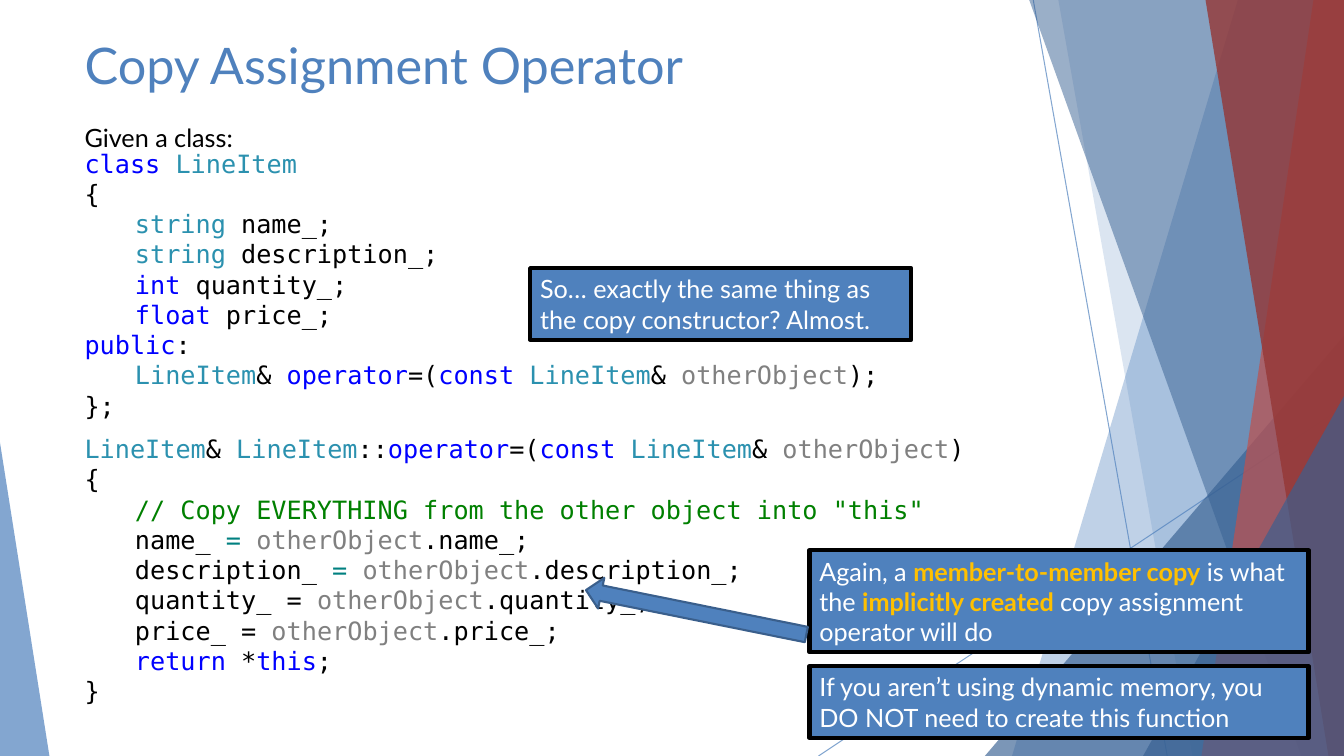
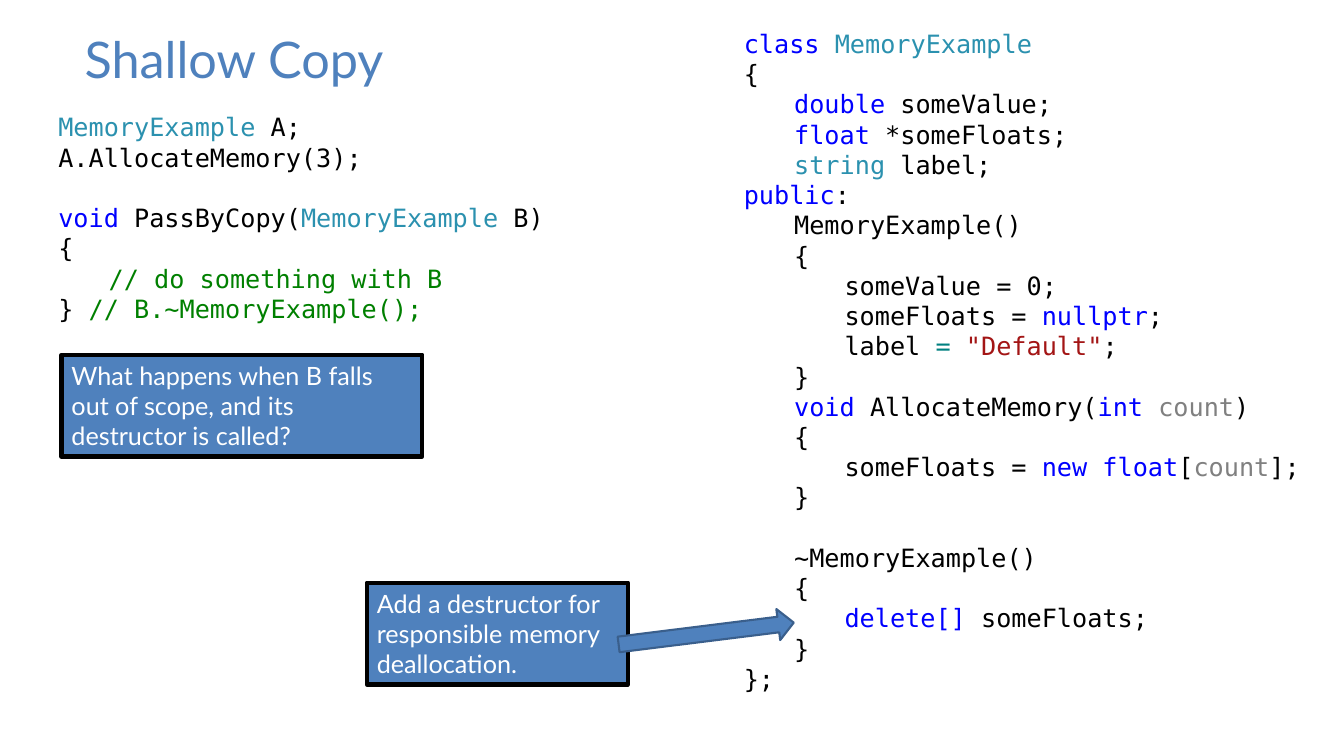
from dataclasses import dataclass
from itertools import groupby

from lxml import etree
from pptx import Presentation
from pptx.dml.color import RGBColor
from pptx.enum.shapes import MSO_CONNECTOR, MSO_SHAPE
from pptx.enum.text import MSO_ANCHOR, MSO_AUTO_SIZE, PP_ALIGN
from pptx.oxml.ns import qn
from pptx.util import Emu, Inches, Pt

STRAIGHT = MSO_CONNECTOR.STRAIGHT
RECTANGLE, TRIANGLE = MSO_SHAPE.RECTANGLE, MSO_SHAPE.ISOSCELES_TRIANGLE
LEFT_ARROW = MSO_SHAPE.LEFT_ARROW
TOP, MIDDLE = MSO_ANCHOR.TOP, MSO_ANCHOR.MIDDLE
FIXED_SIZE = MSO_AUTO_SIZE.NONE
LEFT = PP_ALIGN.LEFT

BLUE = RGBColor(0x4F, 0x81, 0xBD)
DARK_BLUE = RGBColor(0x37, 0x60, 0x92)
ARROW_EDGE = RGBColor(0x3A, 0x5F, 0x8C)
RED = RGBColor(0xC0, 0x50, 0x4D)
DARK_RED = RGBColor(0x95, 0x37, 0x35)
GOLD = RGBColor(0xFF, 0xC0, 0x00)
BLACK = RGBColor(0x00, 0x00, 0x00)
WHITE = RGBColor(0xFF, 0xFF, 0xFF)
KEYWORD_BLUE = RGBColor(0x00, 0x00, 0xFF)
TYPE_TEAL = RGBColor(0x2B, 0x91, 0xAF)
PARAMETER_GRAY = RGBColor(0x80, 0x80, 0x80)
COMMENT_GREEN = RGBColor(0x00, 0x80, 0x00)
OPERATOR_TEAL = RGBColor(0x00, 0x80, 0x80)
STRING_RED = RGBColor(0xA3, 0x15, 0x15)

BODY_FONT, CODE_FONT = "Lato", "DejaVu Sans Mono"
TITLE_SIZE, TEXT_SIZE, CODE_PITCH = Pt(36), Pt(18), Pt(21.6)
TAB_WIDTH = Inches(0.5)

# The grid has 100 columns and 100 rows.
SLIDE_WIDTH, SLIDE_HEIGHT = Inches(13.333), Inches(7.5)
MARGIN = 5.55
ROWS_PER_LINE, ROWS_OF_PADDING = 4, 1.47

WORD_COLORS = {
    **dict.fromkeys(("class", "public", "operator", "const", "return", "this",
                     "int", "float", "double", "void", "nullptr", "new",
                     "delete", "[]"), KEYWORD_BLUE),
    **dict.fromkeys(("LineItem", "MemoryExample", "string"), TYPE_TEAL),
    **dict.fromkeys(("otherObject", "count"), PARAMETER_GRAY),
}
STRING_FIELDS = ("name_", "description_", "label")

LINE_ITEM_CLASS = """class LineItem
{
\tstring name_;
\tstring description_;
\tint quantity_;
\tfloat price_;
public:
\tLineItem& operator=(const LineItem& otherObject);
};"""

ASSIGNMENT_OPERATOR = """LineItem& LineItem::operator=(const LineItem& otherObject)
{
\t// Copy EVERYTHING from the other object into "this"
\tname_ = otherObject.name_;
\tdescription_ = otherObject.description_;
\tquantity_ = otherObject.quantity_;
\tprice_ = otherObject.price_;
\treturn *this;
}"""

PASS_BY_COPY = """MemoryExample A;
A.AllocateMemory(3);

void PassByCopy(MemoryExample B)
{
\t// do something with B
} // B.~MemoryExample();"""

MEMORY_CLASS = """class MemoryExample
{
\tdouble someValue;
\tfloat *someFloats;
\tstring label;
public:
\tMemoryExample()
\t{
\t\tsomeValue = 0;
\t\tsomeFloats = nullptr;
\t\tlabel = "Default";
\t}
\tvoid AllocateMemory(int count)
\t{
\t\tsomeFloats = new float[count];
\t}

\t~MemoryExample()
\t{
\t\tdelete[] someFloats;
\t}
};"""


@dataclass(frozen=True)
class Box:
    left: float
    top: float
    width: float
    height: float

    def emu(self) -> tuple[Emu, Emu, Emu, Emu]:
        return (across(self.left), down(self.top),
                across(self.width), down(self.height))


@dataclass(frozen=True)
class Facet:
    """A full-height panel with a slanted left edge, reaching the right edge."""
    top_column: float
    bottom_column: float
    color: RGBColor
    opacity: int


@dataclass(frozen=True)
class Wedge:
    box: Box
    apex: int
    color: RGBColor
    opacity: int


@dataclass(frozen=True)
class Callout:
    left: float
    top: float
    width: float
    lines: int
    phrases: tuple[str, ...]  # every second phrase is emphasised


BACKDROP_LINES = ((76.88, 0, 86.85, 100), (100, 53.73, 60.9, 100))
BACKDROP = (
    Facet(92.1, 75.3, BLUE, 36),
    Facet(78.75, 88.73, BLUE, 20),
    Wedge(Box(73.28, 44.4, 26.72, 55.6), 1, DARK_BLUE, 66),
    Facet(76.58, 96.83, DARK_BLUE, 50),
    Facet(97.73, 89.4, RED, 70),
    Facet(89.7, 98.85, DARK_RED, 80),
    Wedge(Box(85.05, 52.4, 14.95, 47.6), 1, DARK_BLUE, 66),
    Wedge(Box(0, 58.53, 3.68, 41.47), 0, BLUE, 70),
)

MEMBER_COPY = Callout(60.23, 72.8, 37.13, 3, (
    "Again, a ", "member-to-member copy", " is what the ",
    "implicitly created ", "copy assignment operator will do"))
NO_DYNAMIC_MEMORY = Callout(60.23, 88.13, 37.13, 2, (
    "If you aren’t using dynamic memory, you DO NOT need to create this function",))
SAME_THING = Callout(39.45, 35.47, 28.35, 2, (
    "So… exactly the same thing as the copy constructor? Almost.",))
OUT_OF_SCOPE = Callout(4.58, 46.93, 26.85, 3, (
    "What happens when B falls out of scope, and its destructor is called?",))
ADD_DESTRUCTOR = Callout(27.3, 77.07, 19.43, 3, (
    "Add a destructor for responsible memory deallocation.",))


def across(columns: float) -> Emu:
    return Emu(round(SLIDE_WIDTH * columns / 100))


def down(rows: float) -> Emu:
    return Emu(round(SLIDE_HEIGHT * rows / 100))


def set_opacity(shape, percent: int) -> None:
    for color in shape._element.spPr.iter(qn("a:srgbClr")):
        etree.SubElement(color, qn("a:alpha")).set("val", str(percent * 1000))


def format_font(font, name: str, size: Pt, color: RGBColor, bold: bool = False) -> None:
    font.name, font.size, font.bold = name, size, bold
    font.color.rgb = color


def add_titled_slide(deck, title: str, top: float, height: float):
    slide = deck.slides.add_slide(deck.slide_layouts[5])
    heading = slide.shapes.title
    heading.left, heading.top, heading.width, heading.height = Box(
        MARGIN, top, 70.5, height).emu()
    frame = heading.text_frame
    frame.text = title
    frame.vertical_anchor, frame.auto_size = TOP, FIXED_SIZE
    frame.paragraphs[0].alignment = LEFT
    format_font(frame.paragraphs[0].runs[0].font, BODY_FONT, TITLE_SIZE, BLUE)
    return slide


def add_backdrop(slide) -> None:
    for x1, y1, x2, y2 in BACKDROP_LINES:
        ray = slide.shapes.add_connector(
            STRAIGHT, across(x1), down(y1), across(x2), down(y2))
        ray.line.color.rgb, ray.line.width = BLUE, Pt(0.75)
        set_opacity(ray, 70)
        etree.SubElement(ray._element.spPr, qn("a:effectLst"))
    for part in BACKDROP:
        if isinstance(part, Facet):
            outline = slide.shapes.build_freeform(across(part.top_column), 0)
            outline.add_line_segments([
                (across(100), 0), (across(100), down(100)),
                (across(part.bottom_column), down(100))])
            pane = outline.convert_to_shape()
        else:
            pane = slide.shapes.add_shape(TRIANGLE, *part.box.emu())
            pane.adjustments[0] = part.apex
        pane.shadow.inherit = False
        pane.fill.solid()
        pane.fill.fore_color.rgb = part.color
        pane.line.fill.background()
        set_opacity(pane, part.opacity)


def char_kind(char: str) -> str:
    if char.isspace():
        return "space"
    return "word" if char.isalnum() or char == "_" else "symbol"


def color_tokens(line: str) -> list[tuple[str, RGBColor]]:
    """Split a code line into stretches of one colour; spaces join what precedes."""
    code, slashes, comment = line.partition("//")
    sets_string = code.strip().startswith(STRING_FIELDS)
    tokens = []
    for index, part in enumerate(code.split('"')):
        if index % 2:
            tokens.append((f'"{part}"', STRING_RED))
            continue
        pieces = ["".join(chars) for _, chars in groupby(part, char_kind)]
        for piece, following in zip(pieces, pieces[1:] + [""]):
            color = WORD_COLORS.get(piece, BLACK)
            if piece.isspace() and tokens:
                color = tokens[-1][1]
            elif piece == "=" and sets_string:
                color = OPERATOR_TEAL
            elif color == TYPE_TEAL and following.startswith("("):
                color = BLACK  # constructors and destructors stay plain
            tokens.append((piece, color))
    tokens.append((slashes + comment, COMMENT_GREEN))
    return [("".join(text for text, _ in stretch), color)
            for color, stretch in groupby(
                (token for token in tokens if token[0]), lambda token: token[1])]


def add_code(slide, left: float, top: float, width: float, code: str) -> None:
    lines = code.split("\n")
    box = Box(left, top, width, 1.33 + ROWS_PER_LINE * len(lines))
    frame = slide.shapes.add_textbox(*box.emu()).text_frame
    frame.word_wrap = True
    paragraph, gap = frame.paragraphs[0], 0
    for number, line in enumerate(lines):
        if not line:
            gap += CODE_PITCH
            continue
        if number:
            paragraph = frame.add_paragraph()
        tab_list = etree.SubElement(
            paragraph._p.get_or_add_pPr(), qn("a:tabLst"))
        for stop in (1, 2):
            etree.SubElement(tab_list, qn("a:tab"),
                             pos=str(stop * TAB_WIDTH), algn="l")
        paragraph.line_spacing = CODE_PITCH
        if gap:
            paragraph.space_before, gap = Emu(gap), 0
        for text, color in color_tokens(line):
            run = paragraph.add_run()
            run.text = text
            format_font(run.font, CODE_FONT, TEXT_SIZE, color)


def add_block(slide, preset, box: Box, edge: RGBColor, edge_width: float):
    block = slide.shapes.add_shape(preset, *box.emu())
    block.shadow.inherit = False
    block.fill.solid()
    block.fill.fore_color.rgb = BLUE
    block.line.color.rgb, block.line.width = edge, Pt(edge_width)
    return block


def add_callout(slide, callout: Callout) -> None:
    height = ROWS_OF_PADDING + ROWS_PER_LINE * callout.lines
    box = Box(callout.left, callout.top, callout.width, height)
    frame = add_block(slide, RECTANGLE, box, BLACK, 3).text_frame
    frame.word_wrap, frame.vertical_anchor = True, MIDDLE
    paragraph = frame.paragraphs[0]
    paragraph.alignment = LEFT
    for index, phrase in enumerate(callout.phrases):
        emphasised = index % 2 == 1
        run = paragraph.add_run()
        run.text = phrase
        format_font(run.font, BODY_FONT, TEXT_SIZE,
                    GOLD if emphasised else WHITE, emphasised)


def add_pointer(slide, left: float, top: float, width: float, angle: float) -> None:
    box = Box(left, top, width, 4.13)
    add_block(slide, LEFT_ARROW, box, ARROW_EDGE, 1.5).rotation = angle


def build_assignment_slide(deck) -> None:
    slide = add_titled_slide(deck, "Copy Assignment Operator", 3.87, 10.53)
    add_backdrop(slide)
    add_code(slide, MARGIN, 56.67, 67.05, ASSIGNMENT_OPERATOR)
    add_code(slide, MARGIN, 18.93, 65.25, LINE_ITEM_CLASS)
    add_callout(slide, MEMBER_COPY)
    add_pointer(slide, 43.43, 78.93, 16.73, 11.4)
    intro = slide.shapes.add_textbox(*Box(MARGIN, 15.47, 50, 5.33).emu()).text_frame
    intro.word_wrap = True
    intro.text = "Given a class:"
    format_font(intro.paragraphs[0].runs[0].font, BODY_FONT, TEXT_SIZE, BLACK)
    add_callout(slide, NO_DYNAMIC_MEMORY)
    add_callout(slide, SAME_THING)


def build_shallow_copy_slide(deck) -> None:
    slide = add_titled_slide(deck, "Shallow Copy", 3.07, 12)
    add_code(slide, 3.6, 14.13, 49, PASS_BY_COPY)
    add_callout(slide, OUT_OF_SCOPE)
    add_code(slide, 54.6, 3.07, 45.4, MEMORY_CLASS)
    add_callout(slide, ADD_DESTRUCTOR)
    add_pointer(slide, 45.98, 81.73, 13.13, 172.9)


def main() -> None:
    deck = Presentation()
    deck.slide_width, deck.slide_height = SLIDE_WIDTH, SLIDE_HEIGHT
    build_assignment_slide(deck)
    build_shallow_copy_slide(deck)
    deck.save("out.pptx")


if __name__ == "__main__":
    main()
